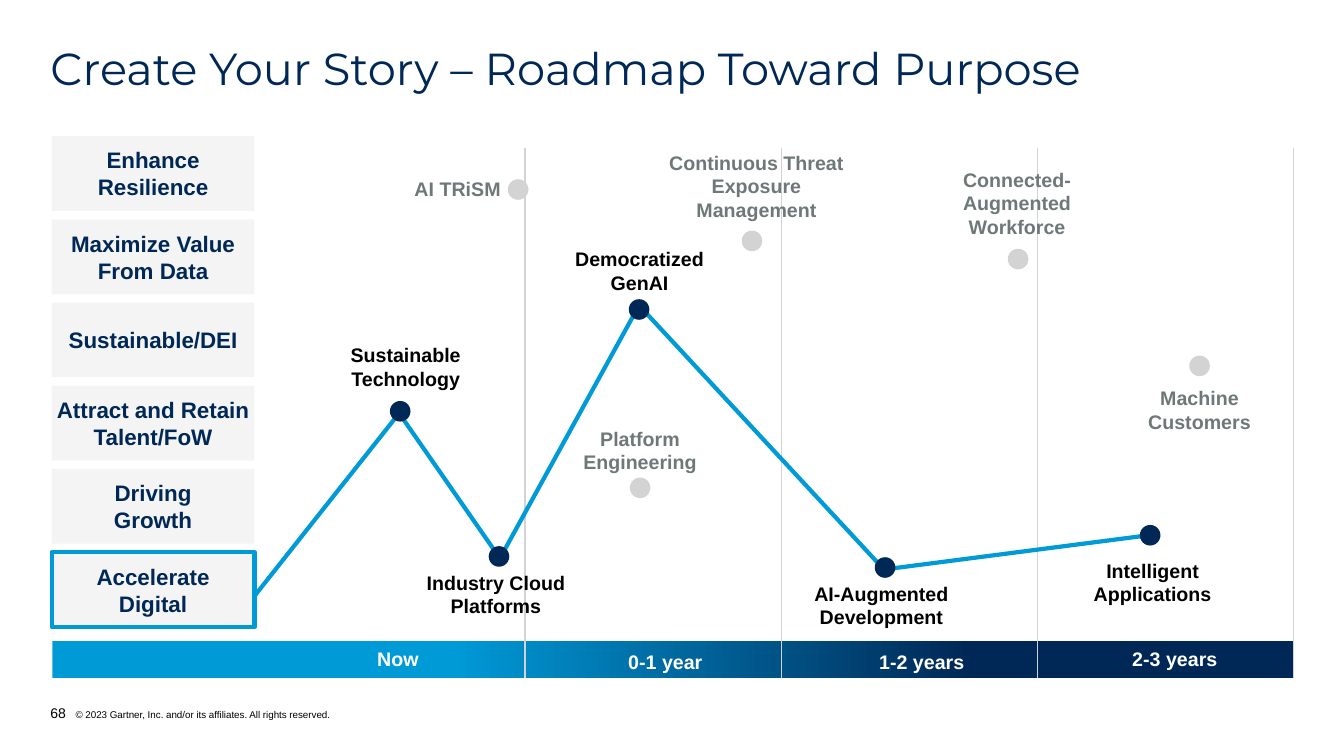
from lxml import etree
from pptx import Presentation
from pptx.dml.color import RGBColor
from pptx.enum.shapes import MSO_CONNECTOR, MSO_SHAPE
from pptx.enum.text import MSO_ANCHOR, PP_ALIGN
from pptx.oxml.ns import qn
from pptx.util import Inches, Pt

RECTANGLE, OVAL = MSO_SHAPE.RECTANGLE, MSO_SHAPE.OVAL
STRAIGHT = MSO_CONNECTOR.STRAIGHT
TOP, MIDDLE, BOTTOM = MSO_ANCHOR.TOP, MSO_ANCHOR.MIDDLE, MSO_ANCHOR.BOTTOM
LEFT, CENTER = PP_ALIGN.LEFT, PP_ALIGN.CENTER


class Theme:
    navy = RGBColor.from_string("002856")
    blue = RGBColor.from_string("009AD7")
    panel = RGBColor.from_string("F4F4F4")
    muted = RGBColor.from_string("D3D3D3")
    gray = RGBColor.from_string("6F7878")
    black = RGBColor.from_string("000000")
    white = RGBColor.from_string("FFFFFF")
    heading_font, body_font = "Montserrat", "Arial"
    title, priority, label, page, copyright = 32, 16, 14, 10, 7
    story_line, divider_line = 3, 1


presentation = Presentation()
presentation.slide_width, presentation.slide_height = Inches(13.333), Inches(7.5)
slide = presentation.slides.add_slide(presentation.slide_layouts[6])
shapes = slide.shapes

# The grid has 160 columns and 90 rows of square cells
CELL = presentation.slide_height / 90


def grid(*cells):
    return [round(cell * CELL) for cell in cells]


def write(shape, text, size, color, font=Theme.body_font, bold=True,
          align=CENTER, anchor=MIDDLE, inset=0, wrap=True, spacing=1.0):
    frame = shape.text_frame
    frame.word_wrap, frame.vertical_anchor = wrap, anchor
    frame.margin_left = frame.margin_right = round(inset * CELL)
    frame.margin_top = frame.margin_bottom = round(inset * CELL)
    frame.text = text
    for paragraph in frame.paragraphs:
        paragraph.alignment, paragraph.line_spacing = align, spacing
        for run in paragraph.runs:
            run.font.name, run.font.size, run.font.bold = font, Pt(size), bold
            run.font.color.rgb = color
    return frame


# Footer: page number and copyright line with a hanging indent
footer = write(shapes.add_textbox(*grid(6, 83.88, 95.88, 2.04)), "68", Theme.page,
               Theme.black, bold=False, align=LEFT, anchor=BOTTOM)
paragraph = footer.paragraphs[0]
properties = paragraph._p.get_or_add_pPr()
properties.set("marL", str(Inches(0.25)))
properties.set("indent", str(-Inches(0.25)))
run = paragraph.add_run()
run.text = "\t© 2023 Gartner, Inc. and/or its affiliates. All rights reserved."
run.font.name, run.font.size = Theme.body_font, Pt(Theme.copyright)
run.font.color.rgb = Theme.black

# Timeline bar
timeline = shapes.add_shape(RECTANGLE, *grid(6.22, 76.32, 147.84, 4.44))
timeline.shadow.inherit = False
timeline.line.fill.background()
timeline.fill.gradient()
timeline.fill.gradient_angle = 0
stops = [(0.32, Theme.blue), (0.74, Theme.navy)]
for stop, (position, color) in zip(timeline.fill.gradient_stops, stops):
    stop.position, stop.color.rgb = position, color

# Period dividers
for index in range(4):
    column = 62.52 + 30.48 * index
    divider = shapes.add_connector(STRAIGHT, *grid(column, 17.64, column, 80.76))
    divider.line.color.rgb = Theme.muted
    divider.line.width = Pt(Theme.divider_line)
    etree.SubElement(divider._element.spPr, qn("a:effectLst"))

# Title
write(shapes.add_textbox(*grid(6, 5.52, 148, 5.76)),
      "Create Your Story – Roadmap Toward Purpose", Theme.title, Theme.navy,
      font=Theme.heading_font, bold=False, align=LEFT, anchor=TOP, spacing=0.9)

# Priorities, the last one being the start of the story
priorities = ["Enhance\nResilience", "Maximize Value\nFrom Data", "Sustainable/DEI",
              "Attract and Retain\nTalent/FoW", "Driving\nGrowth",
              "Accelerate\nDigital"]
for index, text in enumerate(priorities):
    box = shapes.add_shape(RECTANGLE, *grid(6.15, 16.2 + 9.91 * index, 24.15, 8.9))
    box.shadow.inherit = False
    box.fill.solid()
    box.fill.fore_color.rgb = Theme.panel
    if text == priorities[-1]:
        box.line.color.rgb = Theme.blue
        box.line.width = Pt(Theme.story_line)
    else:
        box.line.fill.background()
    write(box, text, Theme.priority, Theme.navy)

# Period names
periods = [("Now", 44.76, 76.92), ("0-1 year", 74.64, 77.2),
           ("1-2 years", 104.52, 77.16), ("2-3 years", 134.64, 76.92)]
for text, column, row in periods:
    write(shapes.add_textbox(*grid(column, row, 11.5, 3)), text, Theme.label,
          Theme.white, align=LEFT, anchor=TOP, inset=0.15, wrap=False)

# Story line
route = [grid(*point) for point in [
    (30.17, 71.12), (47.52, 49.2), (59.52, 66.48),
    (76.08, 36.36), (105.24, 67.8), (136.8, 63.72)]]
builder = shapes.build_freeform(*route[0])
builder.add_line_segments(route[1:], close=False)
story = builder.convert_to_shape()
story.shadow.inherit = False
story.fill.background()
story.line.color.rgb = Theme.blue
story.line.width = Pt(Theme.story_line)

# Milestones: text, label centre, label width, dot centre, on the story line
LABEL_HEIGHT, DOT = 9, 2.45
milestones = [
    ("Democratized GenAI", 76.14, 32.22, 21.24, 76.08, 36.84, True),
    ("AI-Augmented Development", 104.94, 72.06, 20.04, 105.36, 67.56, True),
    ("Intelligent Applications", 137.22, 69.3, 18.6, 136.92, 63.72, True),
    ("Industry Cloud\nPlatforms", 59.04, 70.74, 29.04, 59.4, 66.24, True),
    ("Sustainable Technology", 48.3, 43.62, 16.92, 47.64, 48.96, True),
    ("Machine Customers", 142.8, 48.78, 18.48, 142.8, 43.56, False),
    ("Platform Engineering", 76.2, 53.58, 20.16, 76.2, 58.08, False),
    ("Connected-Augmented Workforce", 121.08, 24.18, 18.48, 121.2, 30.84, False),
    ("Continuous Threat Exposure Management", 90.06, 22.14, 23.16, 89.52, 28.68, False),
    ("AI TRiSM", 54.48, 22.5, 16.08, 61.68, 22.56, False),
]
for text, label_x, label_y, width, dot_x, dot_y, on_story in milestones:
    label = shapes.add_textbox(*grid(label_x - width / 2, label_y - LABEL_HEIGHT / 2,
                                     width, LABEL_HEIGHT))
    write(label, text, Theme.label, Theme.black if on_story else Theme.gray, inset=0.48)
    dot = shapes.add_shape(OVAL, *grid(dot_x - DOT / 2, dot_y - DOT / 2, DOT, DOT))
    dot.shadow.inherit = False
    dot.fill.solid()
    dot.fill.fore_color.rgb = Theme.navy if on_story else Theme.muted
    dot.line.fill.background()

presentation.save("out.pptx")
